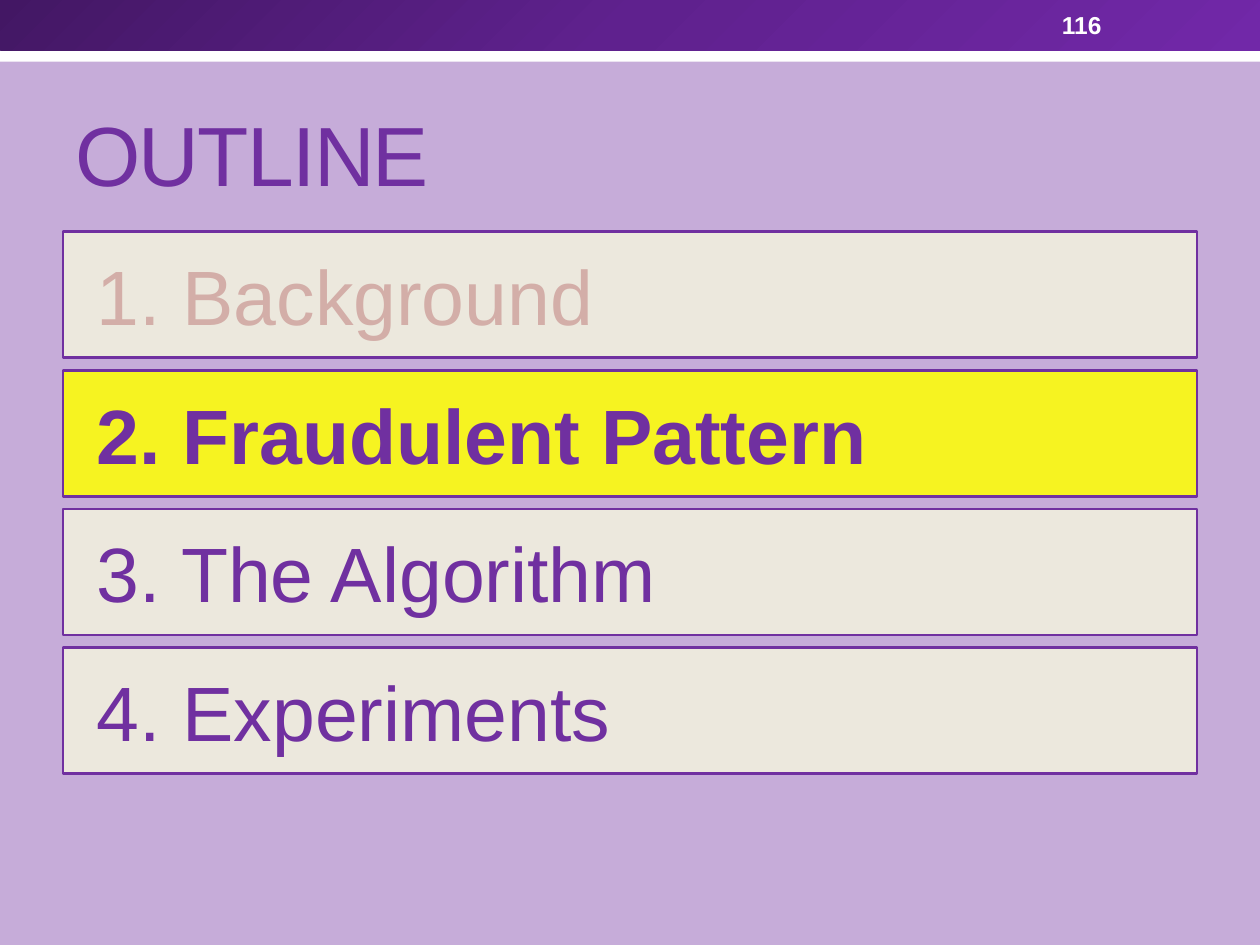
from copy import deepcopy

from pptx import Presentation
from pptx.dml.color import RGBColor
from pptx.enum.shapes import MSO_SHAPE
from pptx.enum.text import MSO_ANCHOR, PP_ALIGN
from pptx.oxml.ns import qn
from pptx.util import Inches, Pt

RECTANGLE = MSO_SHAPE.RECTANGLE
LEFT = PP_ALIGN.LEFT
MIDDLE, BOTTOM = MSO_ANCHOR.MIDDLE, MSO_ANCHOR.BOTTOM

PURPLE = RGBColor(0x70, 0x30, 0xA0)
LILAC = RGBColor(0xC6, 0xAC, 0xD9)
CREAM = RGBColor(0xEC, 0xE8, 0xDD)
YELLOW = RGBColor(0xF6, 0xF3, 0x21)
FADED = RGBColor(0xD3, 0xAE, 0xA8)
WHITE = RGBColor(0xFF, 0xFF, 0xFF)
BAND_COLORS = [
    RGBColor(0x43, 0x17, 0x64),
    RGBColor(0x5F, 0x21, 0x8E),
    RGBColor(0x71, 0x28, 0xA8),
]

# Content: text, fill, text colour, bold
TITLE = "OUTLINE"
PAGE_NUMBER = "116"
SECTIONS = [
    ("1. Background", CREAM, FADED, False),
    ("2. Fraudulent Pattern", YELLOW, PURPLE, True),
    ("3. The Algorithm", CREAM, PURPLE, False),
    ("4. Experiments", CREAM, PURPLE, False),
]
SECTION_LEFT, SECTION_TOP = 0.5, 1.84
SECTION_WIDTH, SECTION_HEIGHT, SECTION_STEP = 9, 1, 1.1


def add_rectangle(page, left, top, width, height):
    box = page.shapes.add_shape(
        RECTANGLE, Inches(left), Inches(top), Inches(width), Inches(height))
    box.shadow.inherit = False
    box.line.fill.background()
    return box


def write(box, text, size, color, bold=False, anchor=MIDDLE):
    frame = box.text_frame
    frame.word_wrap = True
    frame.vertical_anchor = anchor
    frame.text = text
    para = frame.paragraphs[0]
    para.alignment = LEFT
    span = para.runs[0]
    span.font.name = "Arial"
    span.font.size = Pt(size)
    span.font.bold = bold
    span.font.color.rgb = color
    return span


def add_text(page, left, top, width, height, *style, **options):
    box = page.shapes.add_textbox(
        Inches(left), Inches(top), Inches(width), Inches(height))
    return write(box, *style, **options)


def main():
    deck = Presentation()
    deck.slide_width, deck.slide_height = Inches(10), Inches(7.5)
    page = deck.slides.add_slide(deck.slide_layouts[6])
    page.background.fill.solid()
    page.background.fill.fore_color.rgb = LILAC

    # White rule below the header band
    rule = add_rectangle(page, 0, 0.24, 10, 0.25)
    rule.fill.solid()
    rule.fill.fore_color.rgb = WHITE

    # Header band with a three-stop gradient
    band = add_rectangle(page, 0, 0, 10, 0.4)
    band.fill.gradient()
    band.fill.gradient_angle = 315
    stop_list = band._element.spPr.find(".//" + qn("a:gsLst"))
    stop_list.insert(1, deepcopy(stop_list[0]))
    for index, (stop, color) in enumerate(zip(band.fill.gradient_stops, BAND_COLORS)):
        stop.position = index / 2
        stop.color.rgb = color

    # Title and page number
    title = add_text(page, 0.5, 0.58, 9, 1.08, TITLE, 48, PURPLE, anchor=BOTTOM)
    title.font._element.set("spc", "-100")
    add_text(page, 8.33, 0.02, 1.17, 0.36, PAGE_NUMBER, 14, WHITE, bold=True)

    # Section boxes
    for index, (text, fill, color, bold) in enumerate(SECTIONS):
        top = SECTION_TOP + index * SECTION_STEP
        box = add_rectangle(page, SECTION_LEFT, top, SECTION_WIDTH, SECTION_HEIGHT)
        box.fill.solid()
        box.fill.fore_color.rgb = fill
        box.line.color.rgb = PURPLE
        box.line.width = Pt(1.5)
        box.text_frame.margin_left = Inches(0.27)
        write(box, text, 44, color, bold)

    deck.save("out.pptx")


if __name__ == "__main__":
    main()
